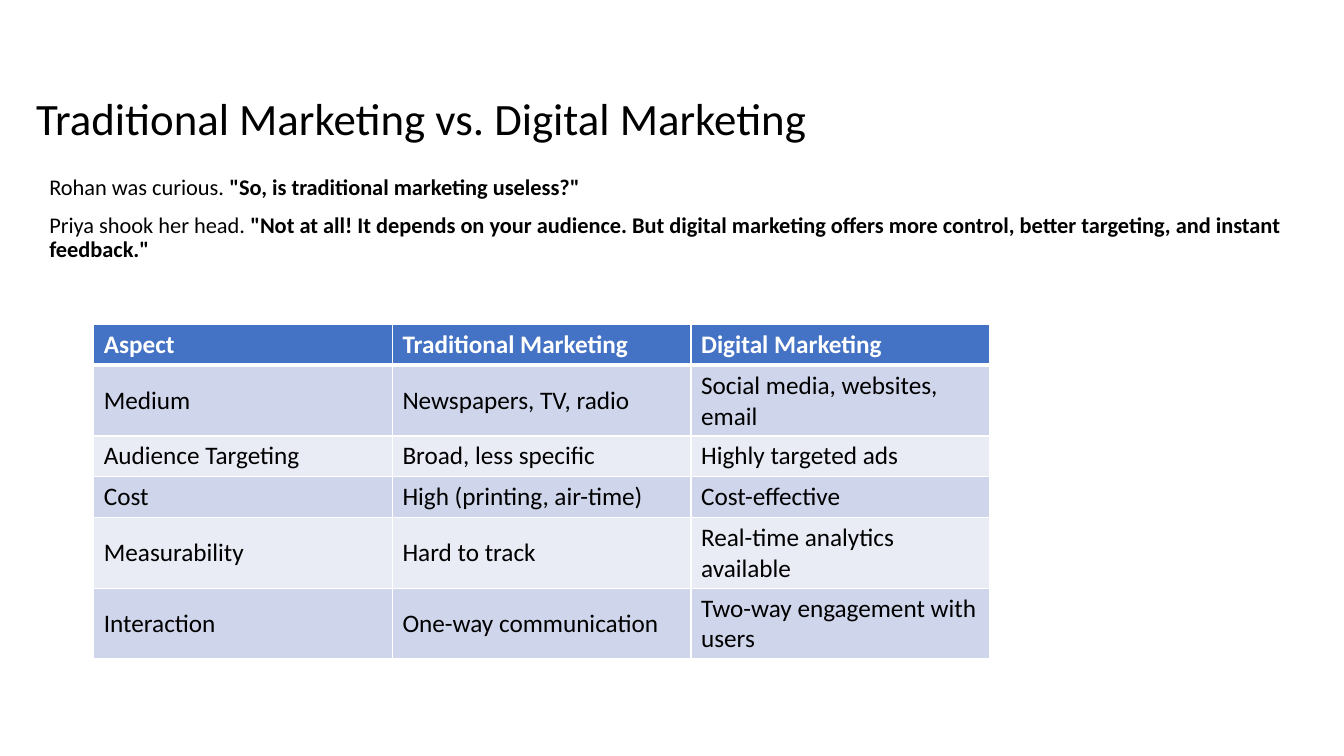
from lxml import etree
from pptx import Presentation
from pptx import util as u
from pptx.dml.color import RGBColor
from pptx.enum import text
from pptx.oxml.ns import qn

BLACK = RGBColor(0x00, 0x00, 0x00)
WHITE = RGBColor(0xFF, 0xFF, 0xFF)
BLUE = RGBColor(0x44, 0x72, 0xC4)
BAND_DARK = RGBColor(0xCF, 0xD5, 0xEA)
BAND_LIGHT = RGBColor(0xE9, 0xEB, 0xF5)

ASPECTS = [
    ("Aspect", "Traditional Marketing", "Digital Marketing"),
    ("Medium", "Newspapers, TV, radio", "Social media, websites, email"),
    ("Audience Targeting", "Broad, less specific", "Highly targeted ads"),
    ("Cost", "High (printing, air-time)", "Cost-effective"),
    ("Measurability", "Hard to track", "Real-time analytics available"),
    ("Interaction", "One-way communication", "Two-way engagement with users"),
]
DIALOGUE = [
    [("Rohan was curious. ", False),
     ('"So, is traditional marketing useless?"', True)],
    [("Priya shook her head. ", False),
     ('"Not at all! It depends on your audience. But digital marketing offers '
      'more control, better targeting, and instant feedback."', True)],
]


class Deck:
    FONT = "Calibri"
    COLS = ROWS = 100

    def __init__(self):
        self.prs = Presentation()
        self.prs.slide_width = u.Inches(13.33)
        self.prs.slide_height = u.Inches(7.5)
        self.s = self.prs.slides.add_slide(self.prs.slide_layouts[6])

    def x(self, cols):
        return round(self.prs.slide_width * cols / self.COLS)

    def y(self, rows):
        return round(self.prs.slide_height * rows / self.ROWS)

    def run(self, p, words, size, color=BLACK, bold=False):
        r = p.add_run()
        r.text = words
        style = {"name": self.FONT, "size": u.Pt(size), "bold": bold}
        for key, value in style.items():
            setattr(r.font, key, value)
        r.font.color.rgb = color

    def text(self, left, top, width, height, paragraphs, size,
             anchor=text.MSO_ANCHOR.TOP):
        sp = self.s.shapes.add_textbox(
            self.x(left), self.y(top), self.x(width), self.y(height))
        tf = sp.text_frame
        tf.word_wrap = True
        tf.vertical_anchor = anchor
        for i, runs in enumerate(paragraphs):
            p = tf.add_paragraph() if i else tf.paragraphs[0]
            p.line_spacing = 0.9
            p.space_before = u.Pt(10 if i else 0)
            for words, bold in runs:
                self.run(p, words, size, bold=bold)

    def borders(self, cell, widths):
        tcPr = cell._tc.get_or_add_tcPr()
        for side, width in widths.items():
            ln = etree.SubElement(tcPr, qn(f"a:ln{side}"), w=str(u.Pt(width)))
            fill = etree.SubElement(ln, qn("a:solidFill"))
            etree.SubElement(fill, qn("a:srgbClr"), val=str(WHITE))

    def table(self, left, top, col_width, row_height, rows, size):
        n = len(rows[0])
        tbl = self.s.shapes.add_table(
            len(rows), n, self.x(left), self.y(top),
            self.x(col_width * n), self.y(row_height * len(rows))).table
        for i, row in enumerate(rows):
            head = i == 0
            band = BLUE if head else BAND_DARK if i % 2 else BAND_LIGHT
            for j, words in enumerate(row):
                cell = tbl.cell(i, j)
                cell.vertical_anchor = text.MSO_ANCHOR.MIDDLE
                self.borders(cell, {"L": 1, "R": 1, "T": 3 if i == 1 else 1,
                                    "B": 3 if head else 1})
                cell.fill.solid()
                cell.fill.fore_color.rgb = band
                self.run(cell.text_frame.paragraphs[0], words, size,
                         WHITE if head else BLACK, head)


def main():
    deck = Deck()
    deck.text(1.95, 4.13, 95.1, 15.73,
              [[("Traditional Marketing vs. Digital Marketing", False)]],
              32, text.MSO_ANCHOR.BOTTOM)
    deck.text(2.93, 22.67, 94.13, 72.4, DIALOGUE, 16)
    deck.table(6.98, 42.93, 22.22, 5.4, ASPECTS, 18)
    deck.prs.save("out.pptx")


if __name__ == "__main__":
    main()
